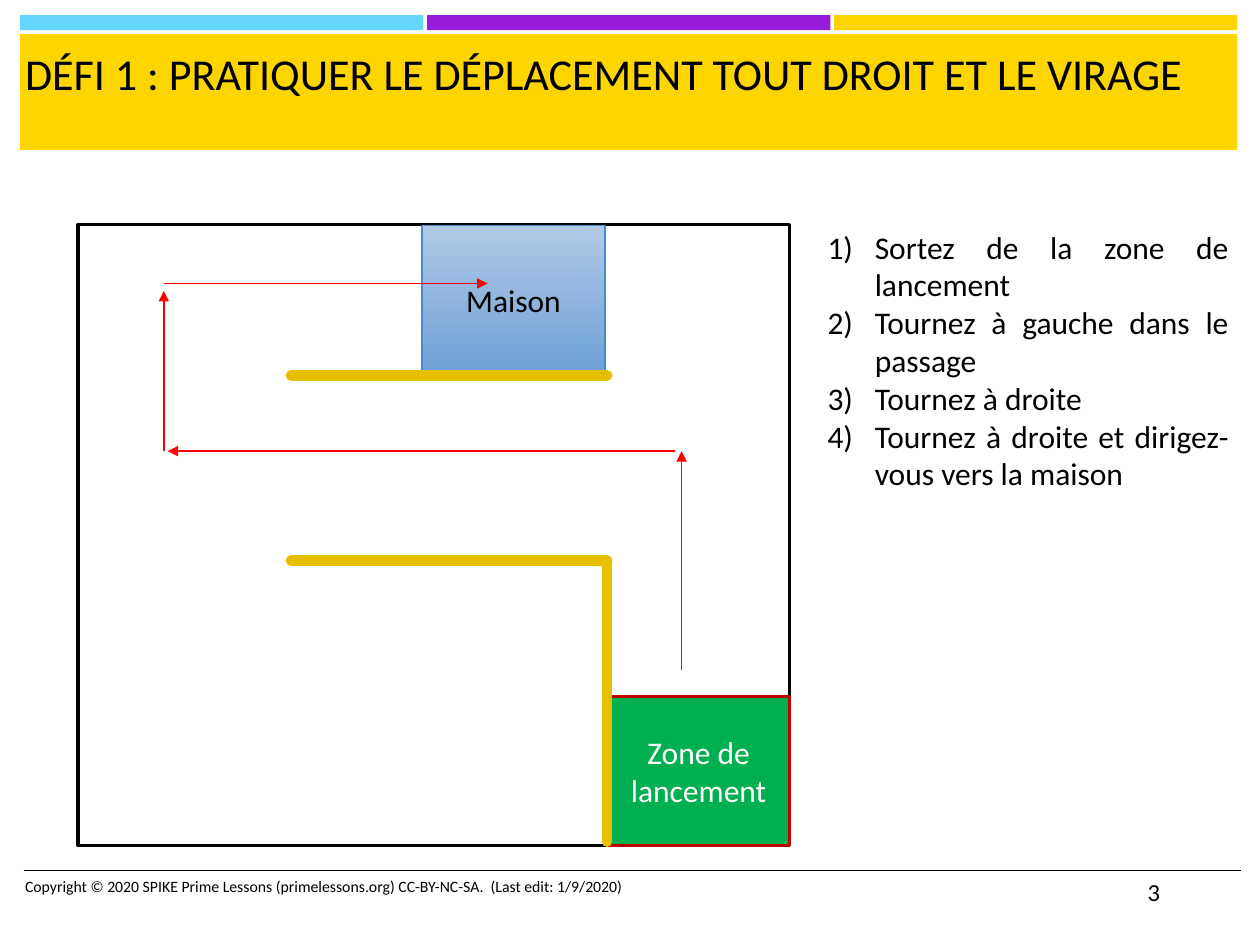
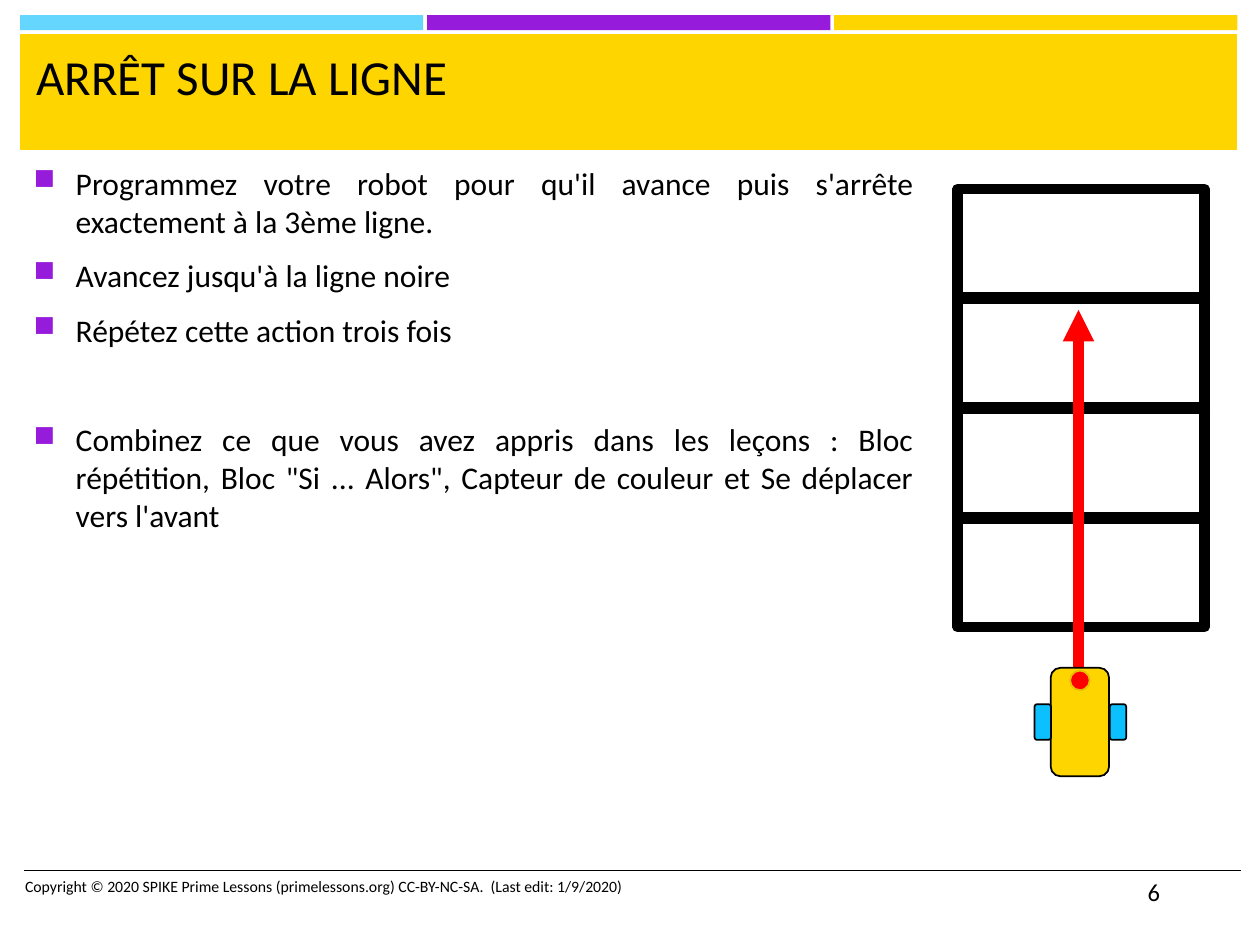
from lxml.etree import SubElement
from pptx import Presentation
from pptx.dml.color import RGBColor
from pptx.enum.shapes import MSO_CONNECTOR, MSO_SHAPE
from pptx.enum.text import MSO_ANCHOR, PP_ALIGN
from pptx.oxml.ns import qn
from pptx.util import Pt

FONT = "Calibri"
COLORS = {
    "black": "000000", "white": "FFFFFF", "sky": "65D7FF", "purple": "961BDB",
    "yellow": "FFD500", "gold": "E6C000", "red": "FF0000", "brick": "BD0000",
    "green": "00B050", "cyan": "0CC0FF", "steel": "438CCF",
    "pale": "B1C9E7", "mid": "6DA0D6",
}
BANDS = ["sky", "purple", "yellow"]
FOOTER = ("Copyright © 2020 SPIKE Prime Lessons (primelessons.org) CC-BY-NC-SA.  "
          "(Last edit: 1/9/2020)")

# Slide content; lengths are in points, boxes are left, top, width, height.
MAZE = {
    "title": "DÉFI 1 : PRATIQUER LE DÉPLACEMENT TOUT DROIT ET LE VIRAGE",
    "size": 25.2, "place": (7.2, 23, 702, 59), "number": "3",
    "steps": [
        "Sortez de la zone de lancement",
        "Tournez à gauche dans le passage",
        "Tournez à droite",
        "Tournez à droite et dirigez-vous vers la maison",
    ],
    "zone": "Zone de lancement",
    "home": "Maison",
    "moves": [
        ((389.5, 383), (389.5, 257.8)),
        ((386, 257.8), (95.8, 257.8)),
        ((93.6, 257.8), (93.6, 166.3)),
    ],
    "walls": [
        ((347, 481), (347, 320.4)),
        ((347, 320.4), (166.3, 320.4)),
        ((347, 214.6), (166.3, 214.6)),
    ],
    "finish": ((93.6, 162), (278.6, 162)),
}
STOP = {
    "title": "ARRÊT SUR LA LIGNE",
    "size": 28, "place": (13.7, 23, 689, 59), "number": "6",
    "goals": [
        "Programmez votre robot pour qu'il avance puis s'arrête "
        "exactement à la 3ème ligne.",
        "Avancez jusqu'à la ligne noire",
        "Répétez cette action trois fois",
        "Combinez ce que vous avez appris dans les leçons : Bloc répétition, "
        "Bloc \"Si ... Alors\", Capteur de couleur et Se déplacer vers l'avant",
    ],
    "path": ((616.3, 416.2), (616.3, 177.1)),
}


def color(name):
    return RGBColor.from_string(COLORS[name])


def write(shape, lines, size, ink="black", align=PP_ALIGN.LEFT,
          anchor=MSO_ANCHOR.TOP, mark=None, indent=0):
    """Fill a shape with paragraphs; mark adds a bullet to each one."""
    frame = shape.text_frame
    frame.word_wrap = True
    frame.vertical_anchor = anchor
    for i, line in enumerate(lines):
        para = frame.paragraphs[0] if i == 0 else frame.add_paragraph()
        para.text = line
        para.alignment = align
        if mark:
            props = para._p.get_or_add_pPr()
            props.set("marL", str(Pt(indent)))
            props.set("indent", str(-Pt(indent)))
            mark(props)
        para.font.name = FONT
        para.font.size = Pt(size)
        para.font.color.rgb = color(ink)
    return frame.paragraphs


def number(props):
    SubElement(props, qn("a:buAutoNum"), type="arabicParenR")


def square(props):
    tint = SubElement(props, qn("a:buClr"))
    SubElement(tint, qn("a:srgbClr"), val=COLORS["purple"])
    SubElement(props, qn("a:buSzPct"), val="92000")
    SubElement(props, qn("a:buChar"), char="■")


def label(slide, place, lines, size, **style):
    text = slide.shapes.add_textbox(*map(Pt, place))
    return write(text, lines, size, **style)


def box(shapes, place, fill=None, line=None, width=1, kind=MSO_SHAPE.RECTANGLE):
    shape = shapes.add_shape(kind, *map(Pt, place))
    shape.shadow.inherit = False
    if fill:
        shape.fill.solid()
        shape.fill.fore_color.rgb = color(fill)
    else:
        shape.fill.background()
    if line:
        shape.line.color.rgb = color(line)
        shape.line.width = Pt(width)
    else:
        shape.line.fill.background()
    return shape


def stroke(slide, ends, ink, width=1, arrow=False, cap="flat"):
    start, end = ends
    line = slide.shapes.add_connector(MSO_CONNECTOR.STRAIGHT, *map(Pt, start + end))
    line.line.color.rgb = color(ink)
    line.line.width = Pt(width)
    props = line.line._get_or_add_ln()
    props.set("cap", cap)
    if arrow:
        SubElement(props, qn("a:tailEnd"), type="triangle")
    SubElement(line._element.spPr, qn("a:effectLst"))


def start_slide(deck, data):
    """Add a slide with the shared bands, title and footer."""
    slide = deck.slides.add_slide(deck.slide_layouts[6])
    for i, band in enumerate(BANDS):
        box(slide.shapes, (11.5 + 232.6 * i, 8.7, 230.4, 8.5), band)
    box(slide.shapes, (11.5, 19.5, 695.3, 66.2), "yellow")
    stroke(slide, ((13.7, 497.4), (709.2, 497.4)), "black")
    label(slide, data["place"], [data["title"]], data["size"])
    label(slide, (7.2, 497.5, 384, 29), [FOOTER], 9)
    label(slide, (648.7, 497.5, 60.5, 29), [data["number"]], 14)
    return slide


def draw_maze(deck):
    slide = start_slide(deck, MAZE)
    middle = {"align": PP_ALIGN.CENTER, "anchor": MSO_ANCHOR.MIDDLE}
    box(slide.shapes, (44.6, 128.2, 406.8, 355), "white", "black", 1.75)

    zone = box(slide.shapes, (347, 398.2, 104.4, 85), "green", "brick", 1.75)
    write(zone, [MAZE["zone"]], 18, ink="white", **middle)

    home = box(slide.shapes, (241.2, 128.9, 104.4, 85), "pale", "steel")
    home.fill.gradient()
    home.fill.gradient_angle = 270
    for stop, tint in zip(home.fill.gradient_stops, ("pale", "mid")):
        stop.color.rgb = color(tint)
    write(home, [MAZE["home"]], 18, **middle)

    steps = box(slide.shapes, (465.8, 123.1, 243.4, 165), "white")
    write(steps, MAZE["steps"], 18, align=PP_ALIGN.JUSTIFY,
          anchor=MSO_ANCHOR.MIDDLE, mark=number, indent=27)

    for move in MAZE["moves"]:
        stroke(slide, move, "red", arrow=True)
    for wall in MAZE["walls"]:
        stroke(slide, wall, "gold", 6, cap="rnd")
    stroke(slide, MAZE["finish"], "red", arrow=True)


def draw_robot(slide):
    parts = slide.shapes.add_group_shape().shapes
    rounded = MSO_SHAPE.ROUNDED_RECTANGLE
    box(parts, (600.4, 381.6, 33.4, 62), "yellow", "black", kind=rounded)
    for left in (634.2, 591.2):
        box(parts, (left, 402.4, 9.4, 20.4), "cyan", "black", kind=rounded)
    box(parts, (611.5, 383.2, 11.2, 11.2), "red", "gold", kind=MSO_SHAPE.OVAL)


def draw_stop(deck):
    slide = start_slide(deck, STOP)
    goals = label(slide, (12.2, 90, 517, 400), STOP["goals"], 18,
                  align=PP_ALIGN.JUSTIFY, mark=square, indent=24)
    for goal in goals[1:]:
        goal.space_before = Pt(9.6)
    goals[-1].space_before = Pt(41)

    for row in range(4):
        box(slide.shapes, (547.2, 108 + 62.8 * row, 141.1, 62), None, "black", 6)
    stroke(slide, STOP["path"], "red", 6, arrow=True)
    draw_robot(slide)


def main():
    deck = Presentation()
    deck.slide_width, deck.slide_height = Pt(720), Pt(540)
    draw_maze(deck)
    draw_stop(deck)
    deck.save("out.pptx")


if __name__ == "__main__":
    main()
